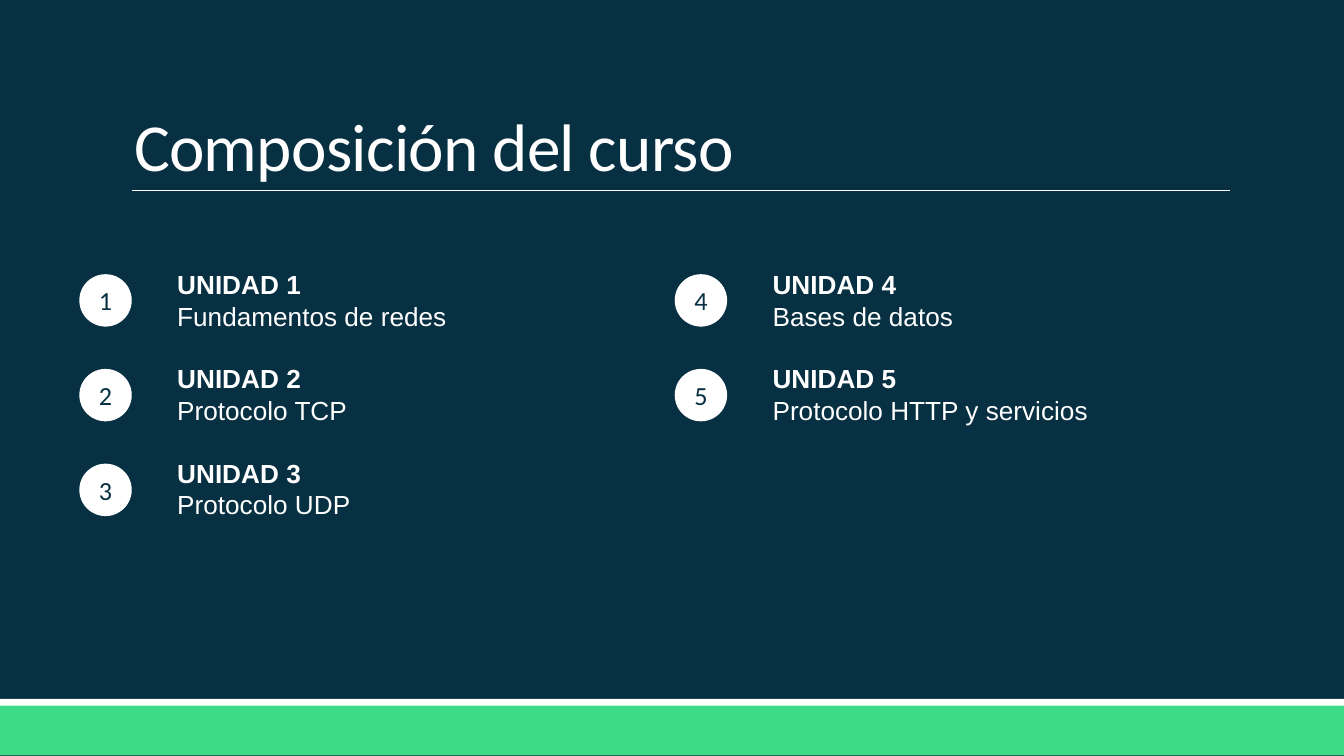
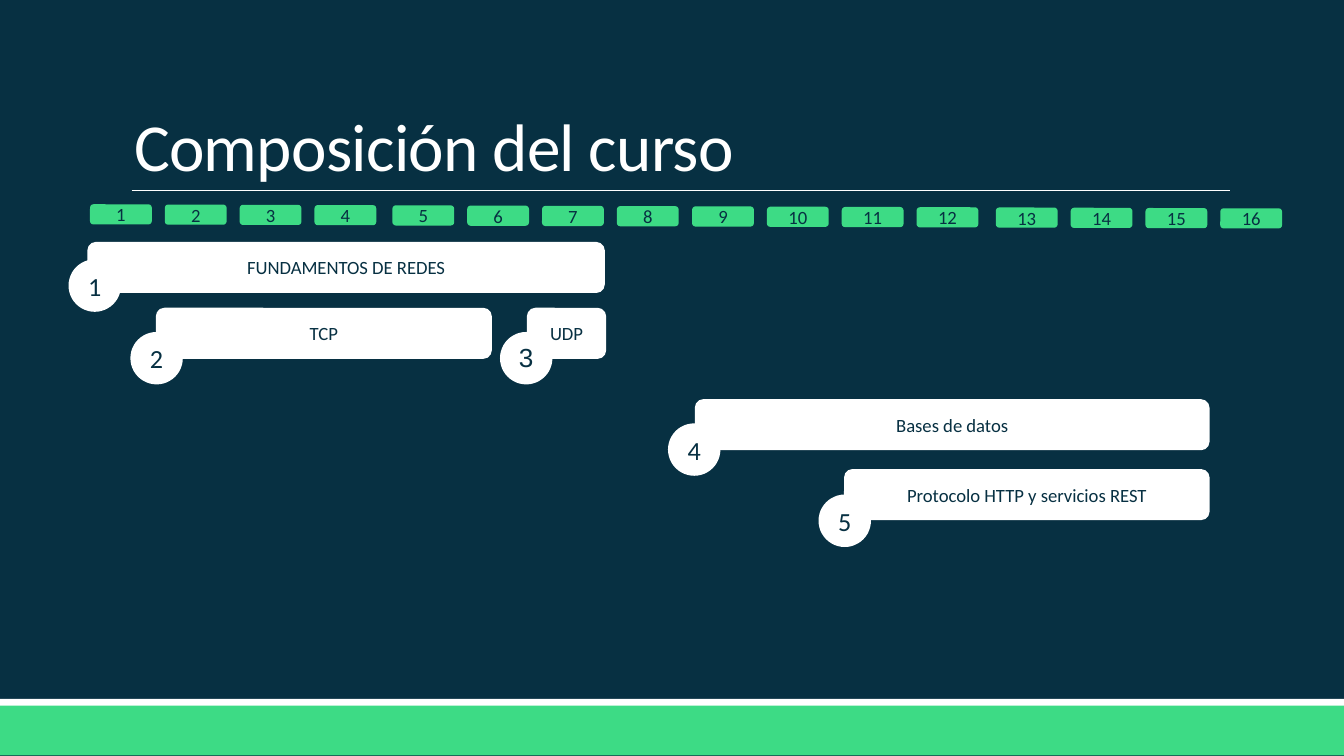
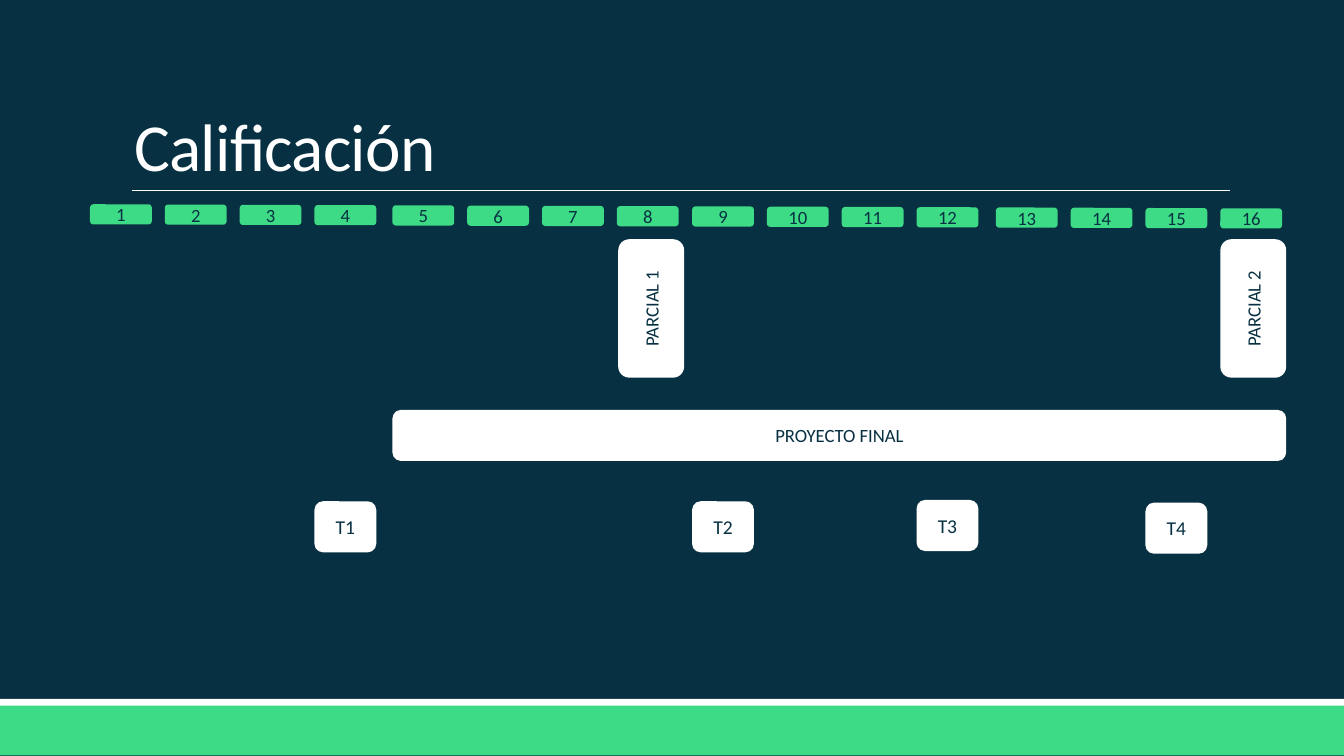
"""Build three slides on the units, calendar and grading of a networking course."""
import pptx
import pptx.dml.color
import pptx.enum.shapes
import pptx.enum.text
import pptx.util
from lxml import etree
from pptx.oxml.ns import qn

Inches, Pt = pptx.util.Inches, pptx.util.Pt
RGBColor = pptx.dml.color.RGBColor
SHAPES = pptx.enum.shapes.MSO_SHAPE
ANCHOR = pptx.enum.text.MSO_ANCHOR
CENTER = pptx.enum.text.PP_ALIGN.CENTER

NAVY = RGBColor(0x07, 0x30, 0x42)
GREEN = RGBColor(0x3D, 0xDB, 0x85)
WHITE = RGBColor(0xFF, 0xFF, 0xFF)

SLIDE_WIDTH = Inches(10)
SLIDE_HEIGHT = SLIDE_WIDTH * 9 // 16

COURSE_TITLE = "Composición del curso"
GRADING_TITLE = "Calificación"

UNIT_COLUMNS = [
    {"badge_left": 0.59, "text_box": (1.22, 1.95, 3.31, 1.99), "units": [
        (1, "Fundamentos de redes"), (2, "Protocolo TCP"), (3, "Protocolo UDP")]},
    {"badge_left": 5.02, "text_box": (5.65, 1.95, 4.65, 1.51), "units": [
        (4, "Bases de datos"), (5, "Protocolo HTTP y servicios")]},
]
BADGE_TOP, BADGE_PITCH, BADGE_SIZE = 2.04, 1.41 / 2, 0.39
UNIT_LINE = Pt(16.8)

MONTH_LEFTS = (0.67, 2.92, 5.15, 7.41)
WEEKS_PER_MONTH, MONTH_SPAN = 4, 1.67
WEEK_COUNT = len(MONTH_LEFTS) * WEEKS_PER_MONTH
WEEK_TOP, WEEK_DRIFT = 1.52, 0.03
WEEK_WIDTH, WEEK_HEIGHT = 0.46, 0.15
BAR_HEIGHT = 0.38

UNIT_BARS = [
    ("FUNDAMENTOS DE REDES", 0.65, 1.8, 3.85),
    ("TCP", 1.16, 2.29, 2.5),
    ("UDP", 3.92, 2.29, 0.59),
    ("Bases de datos", 5.17, 2.97, 3.83),
    ("Protocolo HTTP y servicios REST", 6.28, 3.49, 2.72),
]
UNIT_BADGES = [("1", 0.51, 1.93), ("2", 0.97, 2.47), ("", 3.72, 2.47),
               ("4", 4.97, 3.15), ("5", 6.09, 3.68)]

EXAMS = [("PARCIAL 1", 4.33), ("PARCIAL 2", 8.81)]
TASKS = [("T1", 4, 3.73), ("T2", 9, 3.73), ("T3", 12, 3.72), ("T4", 15, 3.74)]


def add_run(paragraph, text, size, color, font="Calibri", bold=False):
    run = paragraph.add_run()
    run.text = text
    run.font.name, run.font.size = font, Pt(size)
    run.font.color.rgb, run.font.bold = color, bold
    return run


def add_block(slide, kind, box, fill, text="", size=10):
    block = slide.shapes.add_shape(kind, *map(Inches, box))
    block.shadow.inherit = False
    block.fill.solid()
    block.fill.fore_color.rgb = fill
    block.line.fill.background()
    if text:
        frame = block.text_frame
        frame.margin_left = frame.margin_right = 0
        frame.margin_top = frame.margin_bottom = 0
        frame.vertical_anchor = ANCHOR.MIDDLE
        frame.paragraphs[0].alignment = CENTER
        add_run(frame.paragraphs[0], text, size, NAVY)
    return block


def add_text_frame(slide, box, wrap=True):
    frame = slide.shapes.add_textbox(*map(Inches, box)).text_frame
    frame.word_wrap = wrap
    return frame


def add_badge(slide, number, left, top):
    add_block(slide, SHAPES.OVAL, (left, top, BADGE_SIZE, BADGE_SIZE), WHITE, number, 14)


def add_bar(slide, text, left, top, width, size=10):
    add_block(slide, SHAPES.ROUNDED_RECTANGLE, (left, top, width, BAR_HEIGHT), WHITE, text, size)


def add_titled_slide(deck, title):
    slide = deck.slides.add_slide(deck.slide_layouts[6])
    slide.background.fill.solid()
    slide.background.fill.fore_color.rgb = NAVY
    add_block(slide, SHAPES.RECTANGLE, (0, 5.24, 10, 0.38), GREEN)
    add_block(slide, SHAPES.RECTANGLE, (0, 5.2, 10, 0.05), WHITE)
    rule = slide.shapes.add_connector(
        pptx.enum.shapes.MSO_CONNECTOR.STRAIGHT, *map(Inches, (0.98, 1.42, 9.15, 1.42)))
    rule.line.color.rgb, rule.line.width = WHITE, Pt(0.5)
    etree.SubElement(rule._element.spPr, qn("a:effectLst"))
    frame = add_text_frame(slide, (0.9, 0.24, 8.25, 1.19))
    frame.vertical_anchor = ANCHOR.BOTTOM
    frame.paragraphs[0].line_spacing = 0.85
    run = add_run(frame.paragraphs[0], title, 36, WHITE)
    run.font._element.set("spc", "-40")
    return slide


def week_left(week):
    month, step = divmod(week - 1, WEEKS_PER_MONTH)
    return MONTH_LEFTS[month] + MONTH_SPAN * step / (WEEKS_PER_MONTH - 1)


def add_weeks(slide):
    for week in range(1, WEEK_COUNT + 1):
        top = WEEK_TOP + WEEK_DRIFT * (week - 1) / (WEEK_COUNT - 1)
        add_block(slide, SHAPES.ROUNDED_RECTANGLE,
                  (week_left(week), top, WEEK_WIDTH, WEEK_HEIGHT), GREEN, str(week))


def build_units(deck):
    slide = add_titled_slide(deck, COURSE_TITLE)
    for column in UNIT_COLUMNS:
        frame = add_text_frame(slide, column["text_box"])
        for row, (number, topic) in enumerate(column["units"]):
            heading = frame.add_paragraph() if row else frame.paragraphs[0]
            heading.space_before = UNIT_LINE if row else Pt(0)
            subject = frame.add_paragraph()
            heading.line_spacing = subject.line_spacing = UNIT_LINE
            add_run(heading, f"UNIDAD {number}", 14, WHITE, "Arial", True)
            add_run(subject, topic, 14, WHITE, "Arial")
            add_badge(slide, str(number), column["badge_left"], BADGE_TOP + row * BADGE_PITCH)


def build_calendar(deck):
    slide = add_titled_slide(deck, COURSE_TITLE)
    add_weeks(slide)
    for bar in UNIT_BARS:
        add_bar(slide, *bar)
    for badge in UNIT_BADGES:
        add_badge(slide, *badge)
    third = add_text_frame(slide, (3.76, 2.49, 0.31, 0.34), wrap=False).paragraphs[0]
    third.alignment = CENTER
    add_run(third, "3", 14, NAVY, "Arial")


def build_grading(deck):
    slide = add_titled_slide(deck, GRADING_TITLE)
    add_weeks(slide)
    for exam, left in EXAMS:
        block = add_block(slide, SHAPES.ROUNDED_RECTANGLE, (left, 2.05, 1.03, 0.49), WHITE, exam)
        block.rotation = 270
    add_bar(slide, "PROYECTO FINAL", week_left(5), 3.05, 6.65)
    for task, week, top in TASKS:
        add_bar(slide, task, week_left(week), top, WEEK_WIDTH, 10.5)


def main():
    deck = pptx.Presentation()
    deck.slide_width, deck.slide_height = SLIDE_WIDTH, SLIDE_HEIGHT
    build_units(deck)
    build_calendar(deck)
    build_grading(deck)
    deck.save("out.pptx")


if __name__ == "__main__":
    main()
